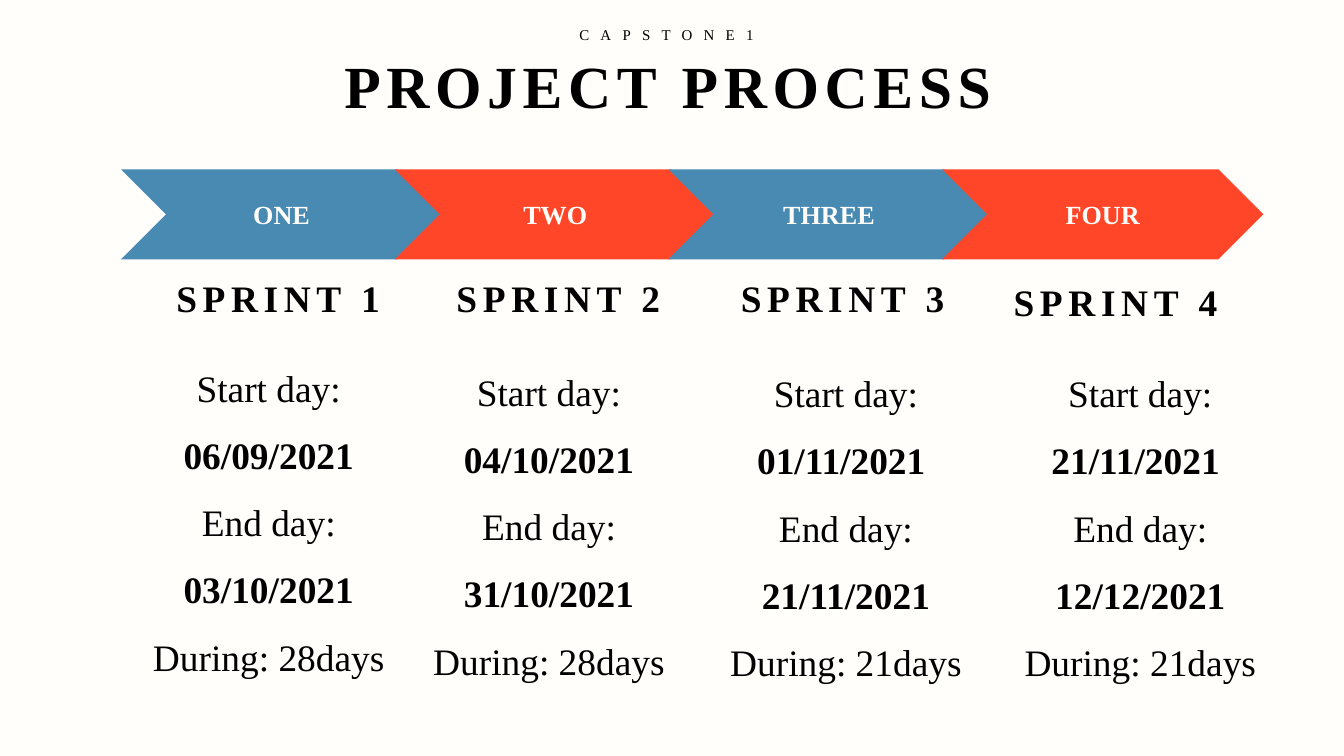
from dataclasses import dataclass

import pptx
import pptx.dml.color
import pptx.enum.shapes
import pptx.enum.text
import pptx.util

Inches = pptx.util.Inches
FONT = "Times New Roman"
COLORS = {"bg": "FFFEFB", "text": "000000", "blue": "498AB3", "red": "FF4628"}
FIRST_STEP, LAST_STEP = 0.9, 7.01


@dataclass
class Box:
    left: float
    top: float
    width: float
    height: float


@dataclass
class Sprint:
    step: str
    color: str
    heading: str
    heading_box: Box
    dates: list[list[str]]
    dates_box: Box


SPRINTS = [
    Sprint("ONE", "blue", "SPRINT 1", Box(1.15, 2, 1.84, 0.44),
           [["Start day: ", "06/09/2021\n", "End day: ", "03/10/2021"], ["During: 28days"]],
           Box(0.83, 2.5, 2.34, 2.63)),
    Sprint("TWO", "red", "SPRINT 2", Box(3.19, 2, 1.93, 0.91),
           [["Start day: ", "04/10/2021\n", "End day: ", "31/10/2021 ", "During: 28days"]],
           Box(2.96, 2.53, 2.25, 2.63)),
    Sprint("THREE", "blue", "SPRINT 3", Box(5.36, 2, 1.82, 0.44),
           [["Start day: ", "01/11/2021 "], ["End day: ", "21/11/2021"], ["During: 21days"]],
           Box(5.18, 2.54, 2.23, 2.63)),
    Sprint("FOUR", "red", "SPRINT 4", Box(7.36, 2.03, 1.88, 0.44),
           [["Start day: ", "21/11/2021 "], ["End day: ", "12/12/2021"], ["During: 21days"]],
           Box(7.37, 2.54, 2.23, 2.63)),
]


def rgb(name: str) -> pptx.dml.color.RGBColor:
    return pptx.dml.color.RGBColor.from_string(COLORS[name])


def style(p, size: float, color: str = "text", bold: bool | None = None) -> None:
    p.alignment = pptx.enum.text.PP_ALIGN.CENTER
    p.font.name = FONT
    p.font.size = pptx.util.Pt(size)
    p.font.color.rgb = rgb(color)
    p.font.bold = bold


def add_box(s, box: Box, wrap: bool = True):
    sp = s.shapes.add_textbox(Inches(box.left), Inches(box.top),
                              Inches(box.width), Inches(box.height))
    tf = sp.text_frame
    tf.word_wrap = wrap
    return tf


def add_heading(s, text: str, box: Box, size: float, spacing: int,
                bold: bool = True, wrap: bool = True):
    tf = add_box(s, box, wrap)
    p = tf.paragraphs[0]
    r = p.add_run()
    r.text = text
    style(p, size, bold=bold)
    r.font._element.set("spc", str(spacing * 100))
    return tf


def add_step(s, sprint: Sprint, left: float) -> None:
    sp = s.shapes.add_shape(pptx.enum.shapes.MSO_SHAPE.CHEVRON, Inches(left),
                            Inches(1.26), Inches(2.39), Inches(0.67))
    sp.shadow.inherit = False
    sp.fill.solid()
    sp.fill.fore_color.rgb = rgb(sprint.color)
    sp.line.fill.background()
    tf = sp.text_frame
    tf.margin_left = tf.margin_right = Inches(0.05)
    tf.margin_top = tf.margin_bottom = Inches(0.03)
    tf.vertical_anchor = pptx.enum.text.MSO_ANCHOR.MIDDLE
    p = tf.paragraphs[0]
    p.add_run().text = sprint.step
    style(p, 14, "bg", True)


def add_dates(s, sprint: Sprint) -> None:
    tf = add_box(s, sprint.dates_box)
    for i, texts in enumerate(sprint.dates):
        p = tf.add_paragraph() if i else tf.paragraphs[0]
        p.line_spacing = 1.5
        for j, text in enumerate(texts):
            r = p.add_run()
            r.text = text.rstrip("\n")
            r.font.name = FONT
            r.font.size = pptx.util.Pt(20)
            r.font.bold = j % 2 == 1
            if text.endswith("\n"):
                p.add_line_break()
        style(p, 20)


def main() -> None:
    """Build the project process slide with its four sprints."""
    prs = pptx.Presentation()
    prs.slide_width = Inches(10)
    prs.slide_height = prs.slide_width * 9 // 16
    s = prs.slides.add_slide(prs.slide_layouts[6])
    s.background.fill.solid()
    s.background.fill.fore_color.rgb = rgb("bg")

    add_heading(s, "CAPSTONE1", Box(4.16, 0.14, 1.6, 0.24), 8, 6, bold=False, wrap=False)
    tf = add_heading(s, "PROJECT PROCESS", Box(1.94, 0.26, 6.06, 0.69), 32, 3)
    tf.margin_top = tf.margin_bottom = Inches(0.1)
    pitch = (LAST_STEP - FIRST_STEP) / (len(SPRINTS) - 1)
    for i, sprint in enumerate(SPRINTS):
        add_step(s, sprint, FIRST_STEP + i * pitch)
        add_heading(s, sprint.heading, sprint.heading_box, 20, 3)
        add_dates(s, sprint)
    prs.save("out.pptx")


if __name__ == "__main__":
    main()
